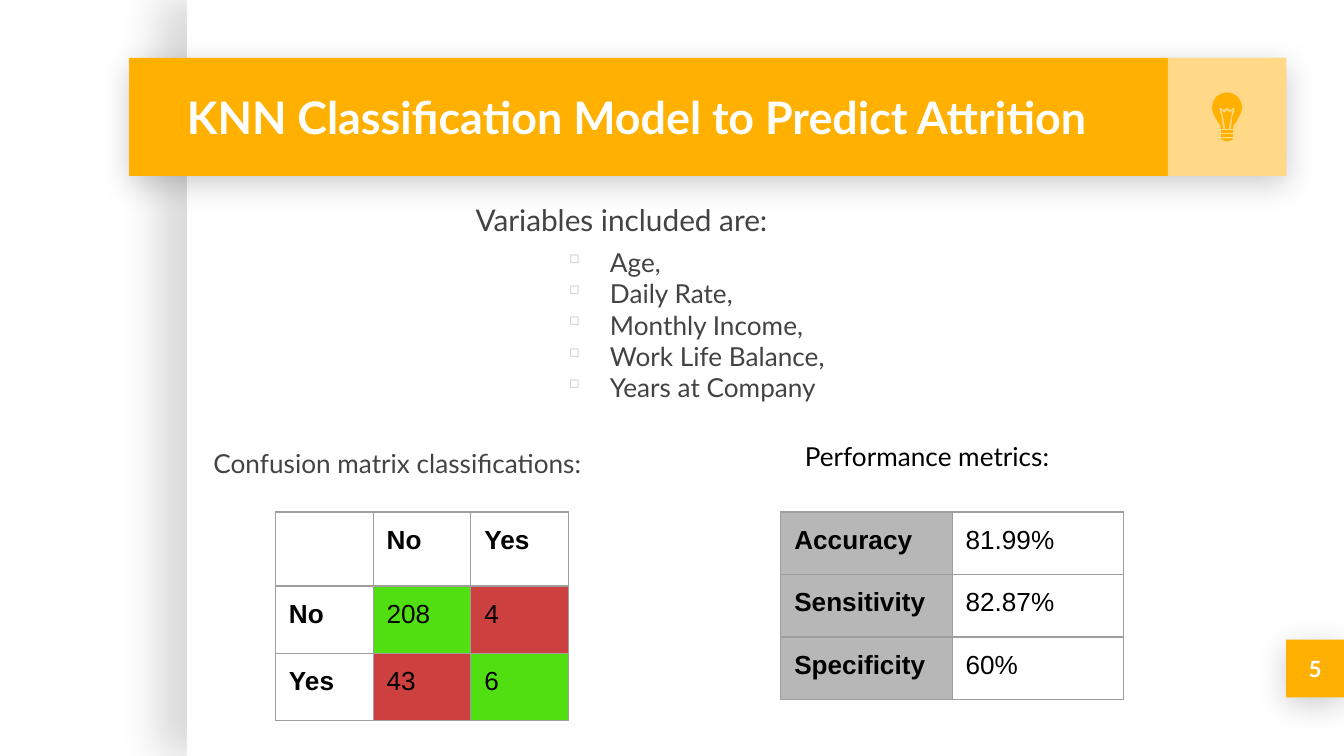
from lxml import etree
from pptx import Presentation, util as u
from pptx.dml.color import RGBColor
from pptx.enum import shapes as sh, text as tx
from pptx.oxml import ns

HUES = {"white": "FFFFFF", "gold": "FFB000", "ink": "434343", "black": "000000",
        "mark": "D9D9D9", "edge": "9E9E9E", "gray": "B7B7B7",
        "good": "51DF11", "bad": "CC4040"}
COLS, ROWS = 100, 56.25  # square grid cells, a tenth of an inch each


def cell(n):
    return u.Emu(round(n * 91440))


def node(home, tag, **attrs):
    return etree.SubElement(home, ns.qn("a:" + tag), attrs)


def tint(home, hue, alpha=None):
    clr = node(home, "srgbClr", val=HUES[hue])
    if alpha:
        node(clr, "alpha", val=str(alpha * 1000))


def write(frame, lines, size=14, font="Lato", hue="ink", bold=False,
          align=tx.PP_ALIGN.LEFT, anchor=tx.MSO_ANCHOR.TOP, before=0):
    """Fill a text frame with lines and return its paragraphs."""
    frame.word_wrap = True
    frame.auto_size = tx.MSO_AUTO_SIZE.NONE
    frame.vertical_anchor = anchor
    frame.margin_left = frame.margin_right = cell(1)
    frame.margin_top = frame.margin_bottom = cell(1)
    frame.text = "\n".join(lines)
    for par in frame.paragraphs:
        par.alignment = align
        par.space_before = u.Pt(before)
        for run in par.runs:
            face = run.font
            face.name, face.size, face.bold = font, u.Pt(size), bold
            face.color.rgb = RGBColor.from_string(HUES[hue])
    return frame.paragraphs


class Deck:
    def __init__(self):
        self.prs = Presentation()
        self.prs.slide_width, self.prs.slide_height = cell(COLS), cell(ROWS)
        self.slide = self.prs.slides.add_slide(self.prs.slide_layouts[5])
        self.shapes = self.slide.shapes

    def paint(self, shape, hue):
        shape.shadow.inherit = False
        shape.fill.solid()
        shape.fill.fore_color.rgb = RGBColor.from_string(HUES[hue])
        shape.line.fill.background()

    def rect(self, x, y, w, h, hue, alpha=None, shade=None):
        box = self.shapes.add_shape(sh.MSO_SHAPE.RECTANGLE, *map(cell, (x, y, w, h)))
        self.paint(box, hue)
        props = box.element.spPr
        if alpha:
            clr = props.find(".//" + ns.qn("a:srgbClr"))
            node(clr, "alpha", val=str(alpha * 1000))
        if shade:
            dark, blur, dist, turn = shade
            drop = node(props.find(ns.qn("a:effectLst")), "outerShdw",
                        blurRad=str(u.Pt(blur)), dist=str(u.Pt(dist)),
                        dir=str(turn * 60000), algn="bl", rotWithShape="0")
            tint(drop, "black", dark)
        return box

    def title(self, words, x, y, w, h, **form):
        head = self.shapes.title
        head.left, head.top, head.width, head.height = map(cell, (x, y, w, h))
        write(head.text_frame, [words], **form)
        head.element.getparent().append(head.element)  # above the band

    def text(self, lines, x, y, w, h, **form):
        box = self.shapes.add_textbox(*map(cell, (x, y, w, h)))
        return write(box.text_frame, lines, **form)

    def bullet(self, par):
        props = par._p.get_or_add_pPr()
        props.set("marL", str(cell(10)))
        props.set("indent", str(cell(-3.5)))
        tint(node(props, "buClr"), "mark")
        node(props, "buChar", char="▫")

    def mirror(self, mid, half, hue):
        """Draw an outline from its right half, as (offset, row) points."""
        pts = half + [(-dx, y) for dx, y in reversed(half)]
        pts = [(cell(mid + dx), cell(y)) for dx, y in pts]
        pen = self.shapes.build_freeform(*pts[0])
        pen.add_line_segments(pts[1:], close=True)
        self.paint(pen.convert_to_shape(), hue)

    def table(self, x, y, wide, highs, data, fills, bold):
        n = len(data[0])
        grid = self.shapes.add_table(len(data), n, *map(
            cell, (x, y, wide * n, sum(highs)))).table
        grid.first_row = grid.horz_banding = False
        for col in grid.columns:
            col.width = cell(wide)
        for r, row in enumerate(data):
            grid.rows[r].height = cell(highs[r])
            for c, words in enumerate(row):
                box = grid.cell(r, c)
                box.margin_left = box.margin_right = cell(1)
                box.margin_top = box.margin_bottom = cell(1)
                props = box._tc.get_or_add_tcPr()
                for side in "LRTB":
                    line = node(props, "ln" + side, w=str(u.Pt(0.75)))
                    tint(node(line, "solidFill"), "edge")
                hue = fills.get((r, c))
                if hue:
                    box.fill.solid()
                    box.fill.fore_color.rgb = RGBColor.from_string(HUES[hue])
                else:
                    box.fill.background()
                if words:
                    write(box.text_frame, [words], font="Arial", hue="black",
                          bold=bold(r, c))


def main():
    deck = Deck()
    mid = tx.MSO_ANCHOR.MIDDLE
    glow = (20, 16.9, 3.8, 90)

    # Page panel, title band and page number
    deck.rect(13.9, 0, COLS - 13.9, ROWS, "white", shade=(15, 22.5, 15, 180))
    deck.rect(9.6, 4.3, 86.1, 8.8, "gold", shade=glow)
    deck.rect(86.9, 4.3, 8.8, 8.8, "white", alpha=53)
    deck.title("KNN Classification Model to Predict Attrition", 12.9, 4.3, 73.7, 8.8,
               size=24, hue="white", bold=True, anchor=mid)
    page = deck.rect(95.7, 47.6, 4.3, 4.3, "gold", shade=glow)
    write(page.text_frame, ["5"], size=12, hue="white", bold=True,
          align=tx.PP_ALIGN.CENTER, anchor=mid)

    # Light bulb: glass, filament, two rings, tip
    bulb = [
        [(0, 6.87), (0.4, 6.95), (0.8, 7.2), (1.05, 7.6), (1.13, 8.05),
         (1, 8.5), (0.7, 9.05), (0.5, 9.3), (0.45, 9.6), (0.28, 9.6),
         (0.4, 8.7), (0.58, 8.1), (0.48, 8), (0.25, 8.2), (0, 8)],
        [(0, 8.2), (0.22, 8.4), (0.4, 8.2), (0.12, 9.6)],
        [(0.45, 9.7), (0.45, 9.92)],
        [(0.45, 10), (0.45, 10.22)],
        [(0.45, 10.3), (0.4, 10.4), (0.1, 10.52)],
    ]
    for half in bulb:
        deck.mirror(91.3, half, "gold")

    # Variables
    names = ["Age,", "Daily Rate,", "Monthly Income,", "Work Life Balance,",
             "Years at Company"]
    head, *items = deck.text(["Variables included are:"] + names, 34.4, 14, 64.2, 17.4)
    head.space_before = u.Pt(6)
    head.runs[0].font.size = u.Pt(16)
    items[0].space_before = u.Pt(4.8)
    for par in items:
        deck.bullet(par)

    # Confusion matrix
    deck.text(["Confusion matrix classifications:"], 14.9, 32.3, 33, 4.4, before=6)
    deck.table(20.5, 38.1, 7.27, [5.5, 5, 5],
               [["", "No", "Yes"], ["No", "208", "4"], ["Yes", "43", "6"]],
               {(r, c): "good" if r == c else "bad" for r in (1, 2) for c in (1, 2)},
               lambda r, c: r == 0 or c == 0)

    # Performance metrics
    deck.text(["Performance metrics:"], 58.9, 31.8, 21.1, 4.4, hue="black")
    deck.table(58.1, 38.1, 12.75, [4.65] * 3,
               [["Accuracy", "81.99%"], ["Sensitivity", "82.87%"],
                ["Specificity", "60%"]],
               {(r, 0): "gray" for r in range(3)}, lambda r, c: c == 0)

    deck.prs.save("out.pptx")


if __name__ == "__main__":
    main()
